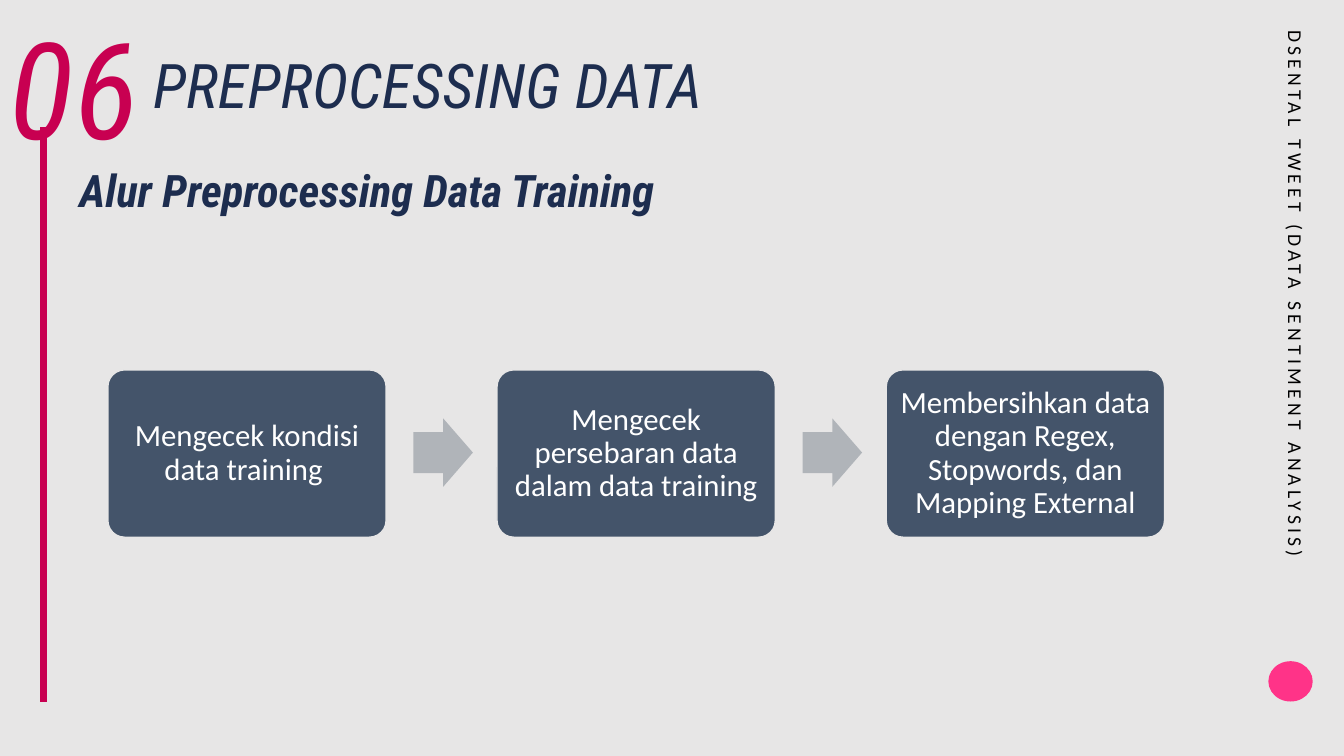
import pptx
import pptx.util
import pptx.dml.color
import pptx.enum.shapes
import pptx.enum.text
import pptx.oxml

Inches = pptx.util.Inches
Pt = pptx.util.Pt
Kind = pptx.enum.shapes.MSO_SHAPE
Align = pptx.enum.text.PP_ALIGN
Anchor = pptx.enum.text.MSO_ANCHOR
Fit = pptx.enum.text.MSO_AUTO_SIZE

HEAD = "Roboto Condensed"
BODY = "Calibri"
PINK = "C80051"
NAVY = "1D2D4F"
GREY = "E7E6E6"


def tint(code):
    return pptx.dml.color.RGBColor.from_string(code)


class Deck:
    """Holds the style and the current slide and draws each kind of element."""

    def __init__(self, wide, high, back):
        self.show = pptx.Presentation()
        self.show.slide_width = Inches(wide)
        self.show.slide_height = Inches(high)
        self.slide = self.show.slides.add_slide(self.show.slide_layouts[6])
        fill = self.slide.background.fill
        fill.solid()
        fill.fore_color.rgb = tint(back)

    def style(self, par, size, face, hue, bold=False, slant=False):
        font = par.runs[0].font
        font.size = Pt(size)
        font.name = face
        font.color.rgb = tint(hue)
        font.bold = bold
        font.italic = slant

    def text(self, box, words, size, face, hue, bold=False, slant=False):
        item = self.slide.shapes.add_textbox(*map(Inches, box))
        frame = item.text_frame
        frame.text = words
        frame.word_wrap = True
        frame.auto_size = Fit.SHAPE_TO_FIT_TEXT
        self.style(frame.paragraphs[0], size, face, hue, bold, slant)
        return frame

    def side(self, box, words):
        frame = self.text(box, words, 14, BODY, "000000")
        frame.word_wrap = False
        frame._txBody.bodyPr.set("vert", "vert")
        frame.paragraphs[0].runs[0].font._element.set("spc", "300")

    def shape(self, kind, box, hue, edge=None, bends=()):
        item = self.slide.shapes.add_shape(kind, *map(Inches, box))
        item.shadow.inherit = False
        item.fill.solid()
        item.fill.fore_color.rgb = tint(hue)
        if edge:
            item.line.color.rgb = tint(edge)
            item.line.width = Pt(1)
        else:
            item.line.fill.background()
        for spot, bend in enumerate(bends):
            item.adjustments[spot] = bend
        return item

    def step(self, box, words):
        item = self.shape(Kind.ROUNDED_RECTANGLE, box, "44546A", GREY, [0.1])
        frame = item.text_frame
        frame.text = words
        frame.word_wrap = True
        frame.vertical_anchor = Anchor.MIDDLE
        frame.margin_left = frame.margin_right = Inches(0.09)
        frame.margin_top = frame.margin_bottom = Inches(0.09)
        par = frame.paragraphs[0]
        par.alignment = Align.CENTER
        par.line_spacing = 0.9
        self.style(par, 22, BODY, "FFFFFF")

    def line(self, ends, hue, width):
        item = self.slide.shapes.add_connector(
            pptx.enum.shapes.MSO_CONNECTOR.STRAIGHT, *map(Inches, ends))
        item.line.color.rgb = tint(hue)
        item.line.width = Pt(width)
        blank = pptx.oxml.ns.qn("a:effectLst")
        item._element.spPr.append(item._element.makeelement(blank, {}))


def main():
    deck = Deck(13.33, 7.5, GREY)
    deck.shape(Kind.OVAL, (12.58, 6.56, 0.44, 0.4), "FF3388")
    deck.line((0.43, 1.26, 0.43, 6.96), PINK, 4.5)
    deck.text((0, 0, 1.8, 1.72), "06", 96, HEAD, PINK, slant=True)
    deck.text((1.42, 0.42, 10.3, 0.84), "PREPROCESSING DATA",
              44, HEAD, NAVY, slant=True)
    deck.text((0.69, 1.57, 10.87, 0.64), "Alur Preprocessing Data Training",
              32, HEAD, NAVY, bold=True, slant=True)
    deck.side((12.58, 0.2, 0.44, 5.41),
              "DSENTAL TWEET (DATA SENTIMENT ANALYSIS)")

    steps = [
        "Mengecek kondisi data training ",
        "Mengecek persebaran data dalam data training",
        "Membersihkan data dengan Regex, Stopwords, dan Mapping External",
    ]
    left, pitch = 1.07, 3.86
    for rank, words in enumerate(steps):
        start = left + rank * pitch
        if rank:
            deck.shape(Kind.RIGHT_ARROW, (start - 0.83, 4.15, 0.59, 0.68),
                       "B0B4B9", bends=[0.6, 0.5])
        deck.step((start, 3.67, 2.76, 1.66), words)

    deck.show.save("out.pptx")


if __name__ == "__main__":
    main()
